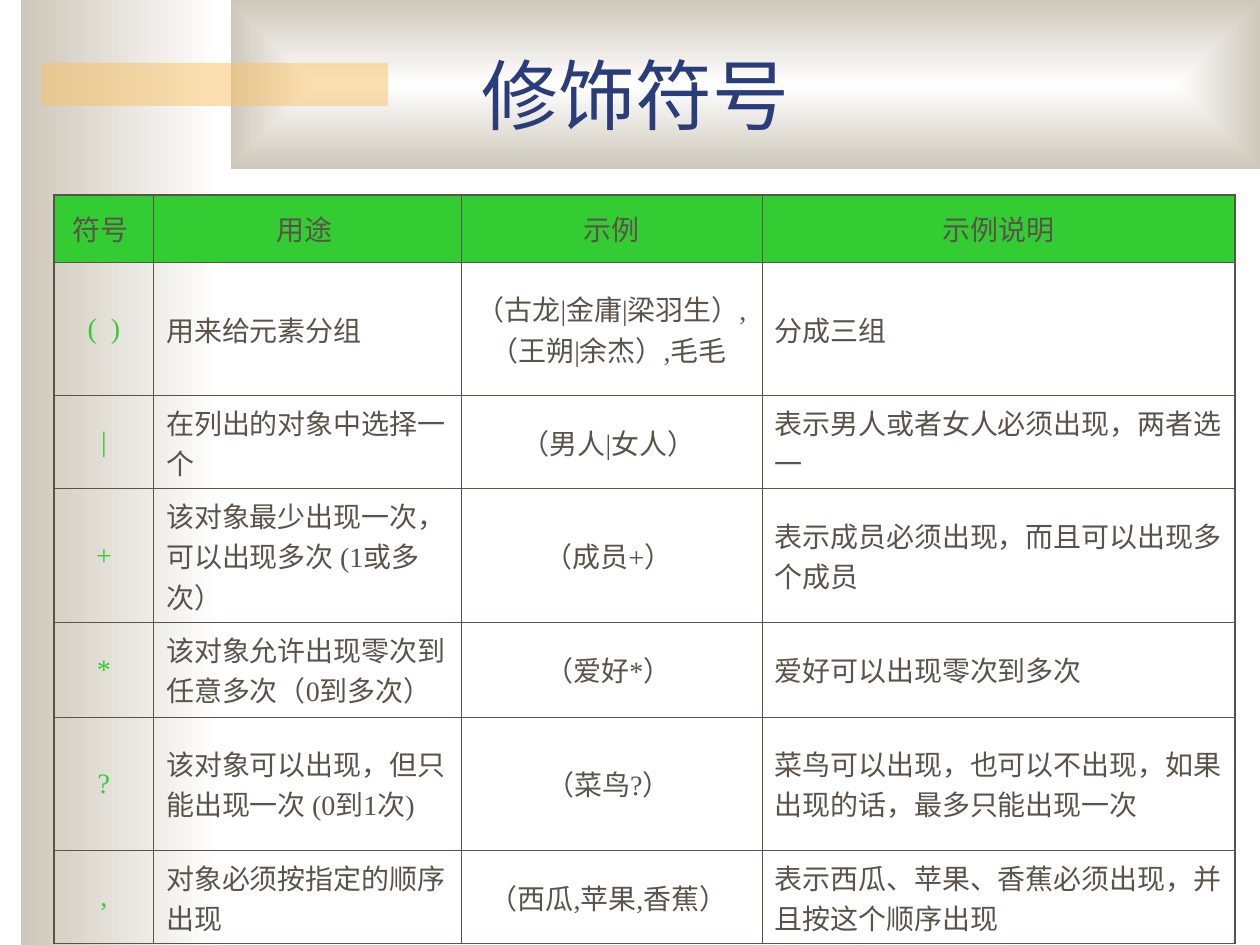
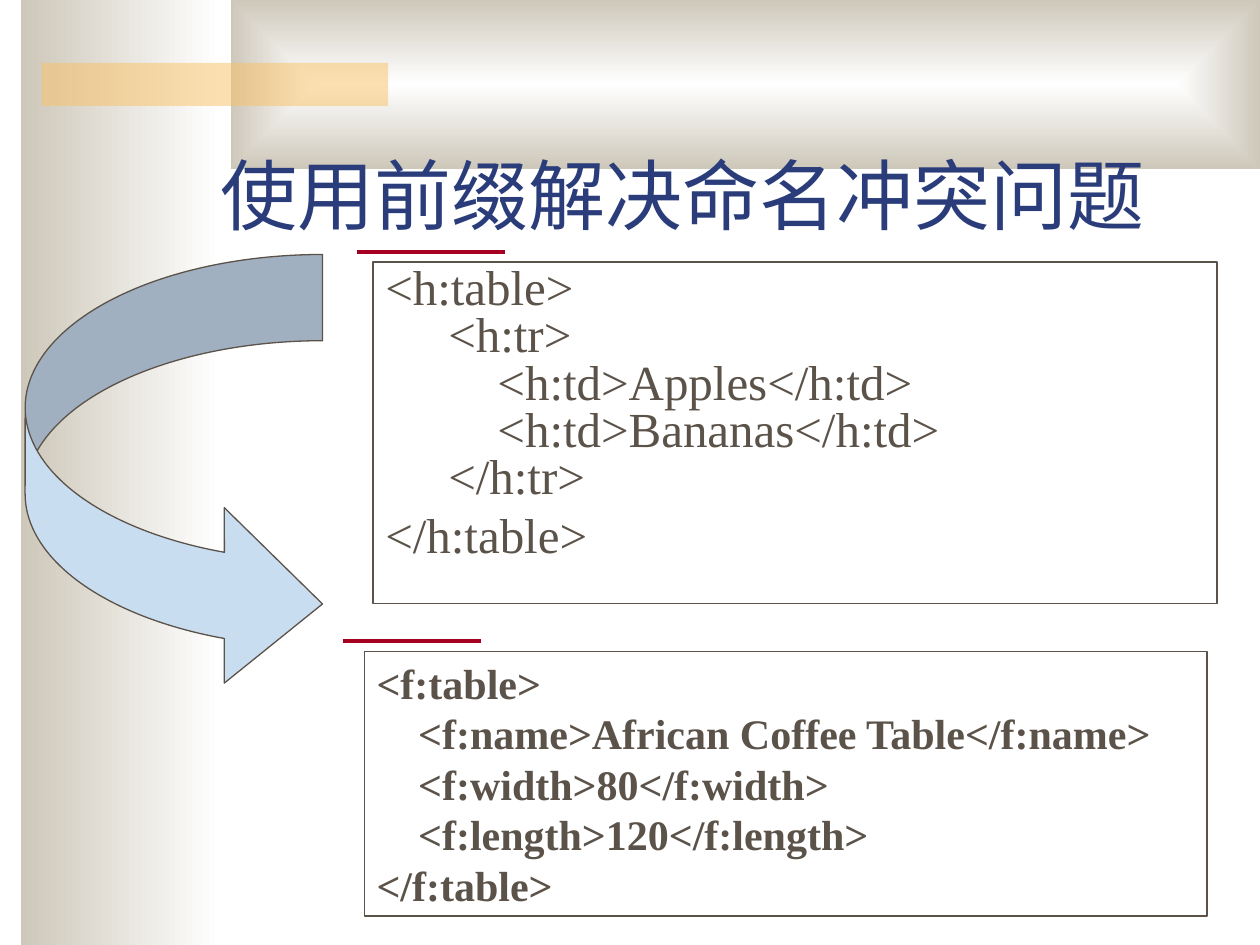
from lxml import etree
from pptx import Presentation
from pptx.dml.color import RGBColor
from pptx.enum.lang import MSO_LANGUAGE_ID
from pptx.enum.shapes import MSO_CONNECTOR, MSO_SHAPE
from pptx.enum.text import MSO_ANCHOR, PP_ALIGN
from pptx.oxml import parse_xml
from pptx.oxml.ns import qn
from pptx.util import Inches, Pt

RECTANGLE = MSO_SHAPE.RECTANGLE
CURVED_ARROW = MSO_SHAPE.CURVED_RIGHT_ARROW
STRAIGHT = MSO_CONNECTOR.STRAIGHT
MIDDLE, TOP = MSO_ANCHOR.MIDDLE, MSO_ANCHOR.TOP
CENTER, LEFT = PP_ALIGN.CENTER, PP_ALIGN.LEFT
CHINESE, ENGLISH = MSO_LANGUAGE_ID.SIMPLIFIED_CHINESE, MSO_LANGUAGE_ID.ENGLISH_US
DRAWING_NS = "http://schemas.openxmlformats.org/drawingml/2006/main"

COLORS = {
    "text": "5B5249", "title": "2A3D7A", "green": "33CC33", "white": "FFFFFF",
    "stone": "CEC8BA", "amber": "FAC164", "red": "A50021", "sky": "C9DDF1",
}
FONT = "Times New Roman"
THIN, THICK = 0.45, 1.08
LINEAR = '<a:lin ang="10800000" scaled="0"/>'
RECTANGULAR = ('<a:path path="rect"><a:fillToRect l="50000" t="50000" '
               'r="50000" b="50000"/></a:path>')

COLUMN_WIDTHS = [0.79, 2.44, 2.39, 3.75]
ROW_HEIGHTS = [0.53, 1.06, 0.74, 1.06, 0.75, 1.06, 0.74]
SYMBOL_ROWS = [
    ["符号 ", "用途 ", "示例", "示例说明"],
    ["(  )", "用来给元素分组", "（古龙|金庸|梁羽生）,（王朔|余杰）,毛毛 ", "分成三组"],
    ["|", "在列出的对象中选择一个", "（男人|女人） ", "表示男人或者女人必须出现，两者选一"],
    ["+", "该对象最少出现一次，可以出现多次 (1或多次）", "（成员+） ",
     "表示成员必须出现，而且可以出现多个成员"],
    ["*", "该对象允许出现零次到任意多次（0到多次）", "（爱好*） ", "爱好可以出现零次到多次"],
    ["?", "该对象可以出现，但只能出现一次 (0到1次)", "（菜鸟?） ",
     "菜鸟可以出现，也可以不出现，如果出现的话，最多只能出现一次"],
    [",", "对象必须按指定的顺序出现", "（西瓜,苹果,香蕉） ",
     "表示西瓜、苹果、香蕉必须出现，并且按这个顺序出现"],
]
FRUIT_CODE = [
    (0, "<h:table>"), (0.5, "<h:tr>"), (0.89, "<h:td>Apples</h:td>"),
    (0.89, "<h:td>Bananas</h:td>"), (0.5, "</h:tr>"), (0, "</h:table>"),
]
FURNITURE_CODE = [
    (0, "<f:table>"), (0.33, "<f:name>African Coffee Table</f:name>"),
    (0.33, "<f:width>80</f:width>"), (0.33, "<f:length>120</f:length>"),
    (0, "</f:table>"),
]


def rgb(name):
    """Return the named colour."""
    return RGBColor.from_string(COLORS[name])


def inches(box):
    """Convert a box of numbers to lengths."""
    return [Inches(value) for value in box]


def write(para, text, size, color, language=CHINESE, **para_format):
    """Write one formatted run into a paragraph."""
    span = para.add_run()
    span.text = text
    span.font.color.rgb = rgb(color)
    font_format = {"name": FONT, "size": Pt(size), "language_id": language,
                   "bold": para_format.pop("bold", False)}
    for target, values in ((span.font, font_format), (para, para_format)):
        for name, value in values.items():
            setattr(target, name, value)


def add_shape(page, kind, box, fill=None, line=None):
    """Add a flat preset shape with an optional fill and outline."""
    shape = page.shapes.add_shape(kind, *inches(box))
    shape.shadow.inherit = False
    if fill:
        shape.fill.solid()
        shape.fill.fore_color.rgb = rgb(fill)
    else:
        shape.fill.background()
    if line:
        shape.line.color.rgb = rgb(line)
        shape.line.width = Pt(0.75)
    else:
        shape.line.fill.background()
    return shape


def add_gradient_band(page, box, direction):
    """Add a band that fades from white to stone."""
    band = add_shape(page, RECTANGLE, box)
    stops = "".join(
        f'<a:gs pos="{position}"><a:srgbClr val="{COLORS[name]}"/></a:gs>'
        for position, name in ((0, "white"), (100000, "stone")))
    gradient = parse_xml(f'<a:gradFill xmlns:a="{DRAWING_NS}" rotWithShape="1">'
                         f"<a:gsLst>{stops}</a:gsLst>{direction}</a:gradFill>")
    properties = band.fill._xPr
    properties.replace(properties.find(qn("a:noFill")), gradient)


def add_page(deck, title, title_box):
    """Add a page with the shared bands and its title."""
    page = deck.slides.add_slide(deck.slide_layouts[6])
    add_gradient_band(page, (0.17, 0, 1.58, 7.5), LINEAR)
    add_gradient_band(page, (1.83, 0, 8.17, 1.34), RECTANGULAR)
    bar = add_shape(page, RECTANGLE, (0.33, 0.5, 2.75, 0.34), "amber")
    color = bar.fill._xPr.find(qn("a:solidFill"))[0]
    etree.SubElement(color, qn("a:alpha")).set("val", "50000")
    frame = page.shapes.add_textbox(*inches(title_box)).text_frame
    frame.word_wrap = True
    frame.vertical_anchor = MIDDLE
    write(frame.paragraphs[0], title, 44, "title", alignment=CENTER)
    return page


def set_borders(cell, widths):
    """Draw the left, right, top and bottom borders of a cell."""
    properties = cell._tc.get_or_add_tcPr()
    for index, (side, width) in enumerate(zip("LRTB", widths)):
        properties.insert(index, parse_xml(
            f'<a:ln{side} xmlns:a="{DRAWING_NS}" w="{Pt(width)}"><a:solidFill>'
            f'<a:srgbClr val="{COLORS["text"]}"/></a:solidFill></a:ln{side}>'))


def add_symbol_table(page, left, top):
    """Add the table of symbols with a heavier outer frame."""
    row_count, column_count = len(ROW_HEIGHTS), len(COLUMN_WIDTHS)
    box = (left, top, sum(COLUMN_WIDTHS), sum(ROW_HEIGHTS))
    table = page.shapes.add_table(row_count, column_count, *inches(box)).table
    for column, width in zip(table.columns, COLUMN_WIDTHS):
        column.width = Inches(width)
    for row_index, texts in enumerate(SYMBOL_ROWS):
        table.rows[row_index].height = Inches(ROW_HEIGHTS[row_index])
        is_header = row_index == 0
        for column_index, text in enumerate(texts):
            cell = table.cell(row_index, column_index)
            cell.vertical_anchor = MIDDLE
            if is_header:
                cell.fill.solid()
                cell.fill.fore_color.rgb = rgb("green")
            else:
                cell.fill.background()
            is_edge = (column_index == 0, column_index == column_count - 1,
                       is_header, row_index == row_count - 1)
            set_borders(cell, [THICK if edge else THIN for edge in is_edge])
            is_symbol = column_index == 0 and not is_header
            is_centered = is_header or column_index in (0, 2)
            para = cell.text_frame.paragraphs[0]
            write(para, text, 16, "green" if is_symbol else "text",
                  space_before=Pt(4), alignment=CENTER if is_centered else LEFT)
            para._p.get_or_add_pPr().set("hangingPunct", "0")


def add_code_box(page, box, lines, size, spacing, first_gap=0, last_gap=0, bold=False):
    """Add an outlined box of code with one indented paragraph per line."""
    frame = add_shape(page, RECTANGLE, box, line="text").text_frame
    frame.word_wrap = True
    frame.vertical_anchor = TOP
    gaps = [first_gap] + [0] * (len(lines) - 2) + [last_gap]
    for index, ((indent, text), gap) in enumerate(zip(lines, gaps)):
        para = frame.add_paragraph() if index else frame.paragraphs[0]
        write(para, text, size, "text", ENGLISH, bold=bold, alignment=LEFT,
              line_spacing=spacing, space_before=Pt(gap))
        para._p.get_or_add_pPr().set("marL", str(Inches(indent)))


def add_rule(page, left, top, width):
    """Add a short red rule above a code box."""
    rule = page.shapes.add_connector(
        STRAIGHT, *inches((left, top, left + width, top)))
    rule.line.color.rgb = rgb("red")
    rule.line.width = Pt(2.25)
    etree.SubElement(rule._element.spPr, qn("a:effectLst"))


def add_curved_arrow(page, box):
    """Add the curved arrow that leads from one code box to the next."""
    arrow = add_shape(page, CURVED_ARROW, box, "sky", "text")
    for index, value in enumerate((0.29, 0.59, 0.33)):
        arrow.adjustments[index] = value


def build_symbol_page(deck):
    """Build the page about modifier symbols."""
    page = add_page(deck, "修饰符号", (0.43, 0.25, 9.23, 0.98))
    add_symbol_table(page, 0.43, 1.55)


def build_prefix_page(deck):
    """Build the page about prefixes."""
    page = add_page(deck, "使用前缀解决命名冲突问题", (1.17, 0.91, 8.5, 1.25))
    add_code_box(page, (2.96, 2.08, 6.7, 2.71), FRUIT_CODE, 28, 0.8, last_gap=7)
    add_code_box(page, (2.89, 5.17, 6.69, 2.1), FURNITURE_CODE, 24, 1.0,
                 first_gap=15, bold=True)
    add_rule(page, 2.83, 2, 1.18)
    add_rule(page, 2.72, 5.09, 1.1)
    add_curved_arrow(page, (0.2, 2.02, 2.36, 3.47))


def main():
    """Build and save the deck."""
    deck = Presentation()
    deck.slide_width, deck.slide_height = Inches(10), Inches(7.5)
    build_symbol_page(deck)
    build_prefix_page(deck)
    deck.save("out.pptx")


if __name__ == "__main__":
    main()
